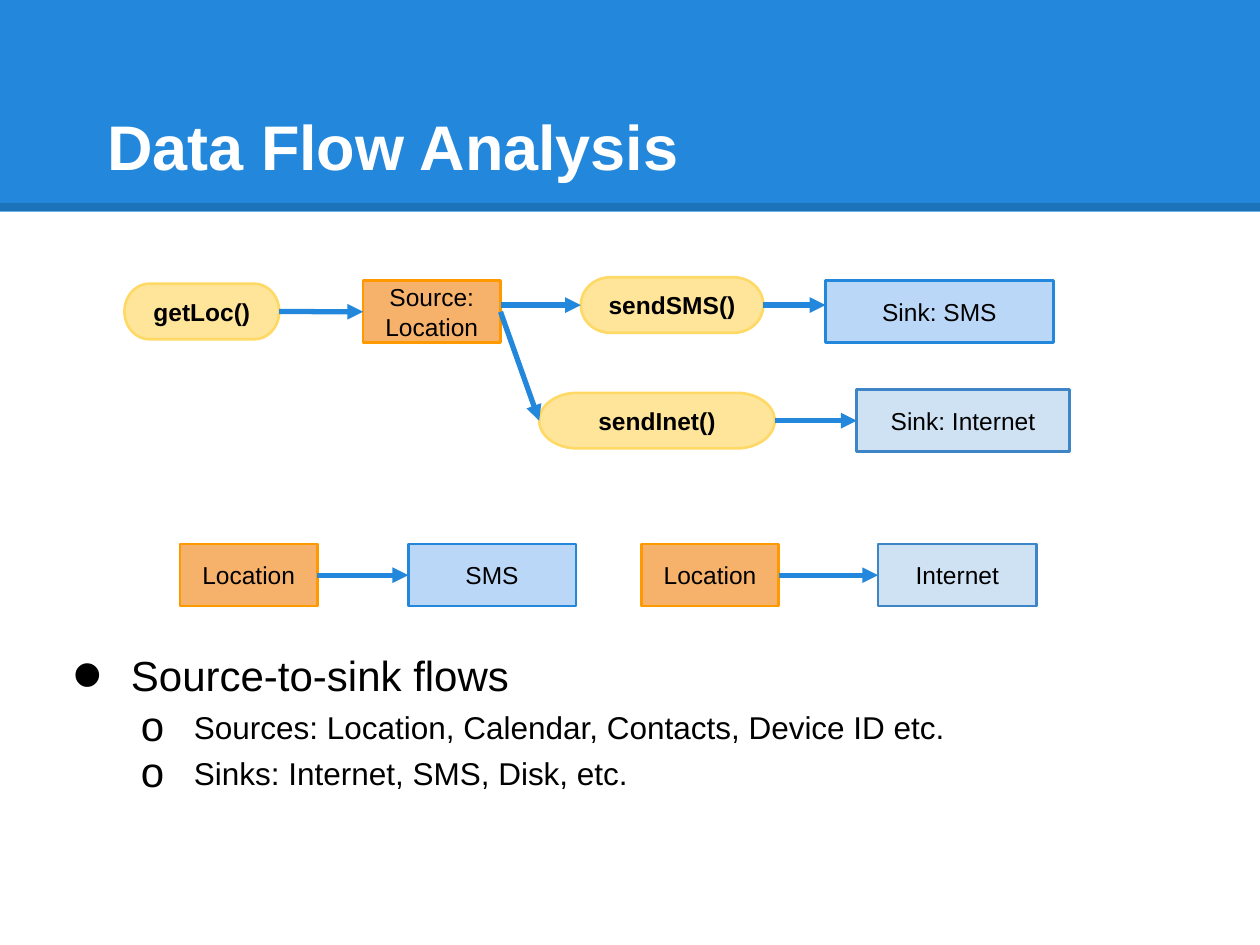
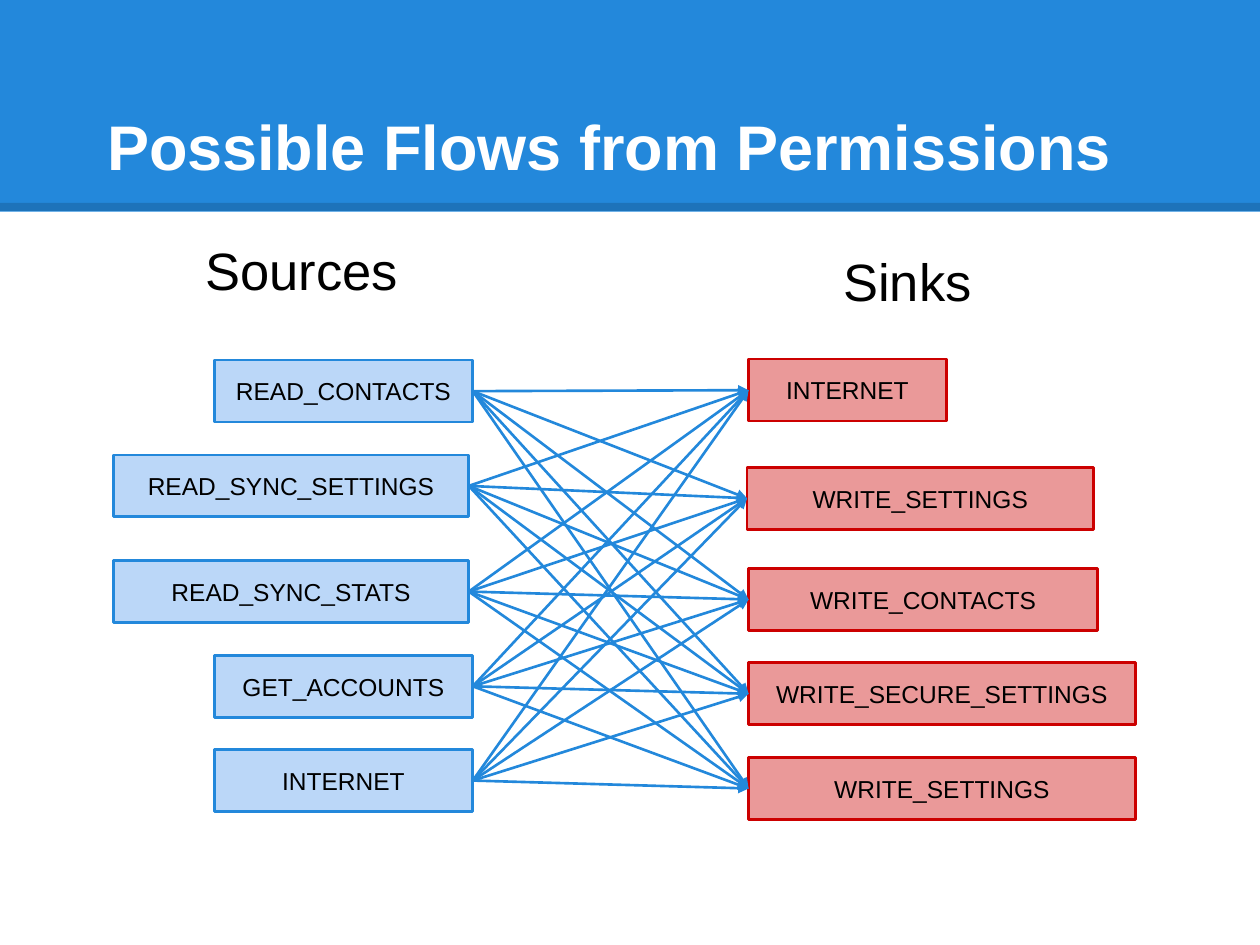
from itertools import product

from lxml.etree import SubElement
from pptx import Presentation
from pptx.dml.color import RGBColor
from pptx.enum.shapes import MSO_CONNECTOR as Link, MSO_SHAPE as Shape
from pptx.enum.text import MSO_ANCHOR as Anchor, PP_ALIGN as Align
from pptx.oxml.ns import qn
from pptx.util import Cm, Pt

FONT = "Arial"
BLACK = RGBColor(0x00, 0x00, 0x00)
WHITE = RGBColor(0xFF, 0xFF, 0xFF)
BLUE = RGBColor(0x23, 0x88, 0xDB)
SKY = RGBColor(0xBB, 0xD7, 0xF8)
PALE = RGBColor(0xCF, 0xE2, 0xF3)
STEEL = RGBColor(0x3D, 0x85, 0xC6)
CREAM = RGBColor(0xFF, 0xE5, 0x99)
GOLD = RGBColor(0xFF, 0xD9, 0x66)
PEACH = RGBColor(0xF6, 0xB2, 0x6B)
ORANGE = RGBColor(0xFF, 0x99, 0x00)
ROSE = RGBColor(0xEA, 0x99, 0x99)
RED = RGBColor(0xCC, 0x00, 0x00)

# Box styles: preset, fill, outline, bold
STYLES = {
    "call": (Shape.FLOWCHART_TERMINATOR, CREAM, GOLD, True),
    "source": (Shape.RECTANGLE, PEACH, ORANGE, False),
    "sms": (Shape.RECTANGLE, SKY, BLUE, False),
    "net": (Shape.RECTANGLE, PALE, STEEL, False),
    "read": (Shape.RECTANGLE, SKY, BLUE, False),
    "write": (Shape.RECTANGLE, ROSE, RED, False),
}
HIGH = 1.25

# Data flow: name -> style, text, left, top, width, height in cm
STEPS = {
    "get": ("call", "getLoc()", 2.51, 5.72, 3.12, 1.12),
    "loc": ("source", "Source: Location", 7.32, 5.66, 2.77, HIGH),
    "send sms": ("call", "sendSMS()", 11.71, 5.59, 3.68, 1.12),
    "send net": ("call", "sendInet()", 10.87, 7.92, 4.75, 1.12),
    "sink sms": ("sms", "Sink: SMS", 16.64, 5.66, 4.6, HIGH),
    "sink net": ("net", "Sink: Internet", 17.27, 7.85, 4.29, HIGH),
    "from 1": ("source", "Location", 3.63, 10.97, 2.77, HIGH),
    "to 1": ("sms", "SMS", 8.23, 10.97, 3.38, HIGH),
    "from 2": ("source", "Location", 12.93, 10.97, 2.77, HIGH),
    "to 2": ("net", "Internet", 17.7, 10.97, 3.2, HIGH),
}
# From, to, and the step whose middle keeps the arrow level
FLOWS = [
    ("get", "loc", None),
    ("loc", "send sms", "send sms"),
    ("loc", "send net", None),
    ("send sms", "sink sms", "send sms"),
    ("send net", "sink net", "send net"),
    ("from 1", "to 1", None),
    ("from 2", "to 2", None),
]
# Level, text
POINTS = [
    (0, "Source-to-sink flows"),
    (1, "Sources: Location, Calendar, Contacts, Device ID etc."),
    (1, "Sinks: Internet, SMS, Disk, etc."),
]
# Per level: mark, mark size %, text size, space before, margin, indent
LEVELS = [("•", 208, 24, 6, 1.27, -1.17), ("o", 133, 18, 4.8, 2.54, -1.07)]

# Permissions: text, left, top, width in cm
READS = [
    ("READ_CONTACTS", 4.32, 7.26, 5.21),
    ("READ_SYNC_SETTINGS", 2.29, 9.17, 7.16),
    ("READ_SYNC_STATS", 2.29, 11.3, 7.16),
    ("GET_ACCOUNTS", 4.32, 13.21, 5.21),
    ("INTERNET", 4.32, 15.11, 5.21),
]
WRITES = [
    ("INTERNET", 15.09, 7.24, 3.99),
    ("WRITE_SETTINGS", 15.06, 9.42, 6.99),
    ("WRITE_CONTACTS", 15.09, 11.46, 7.04),
    ("WRITE_SECURE_SETTINGS", 15.09, 13.36, 7.8),
    ("WRITE_SETTINGS", 15.09, 15.27, 7.8),
]
HEADS = [("Sources", 1.14, 4.55, 9.88, 2.69), ("Sinks", 12.34, 4.78, 11.91, 2.03)]


def set_font(para, size, color=BLACK, bold=False):
    font = para.font
    font.name, font.size, font.bold = FONT, Pt(size), bold
    font.color.rgb = color


def set_frame(shape, anchor):
    frame = shape.text_frame
    frame.word_wrap = True
    frame.vertical_anchor = anchor
    frame.margin_left = frame.margin_right = Cm(0.25)
    frame.margin_top = frame.margin_bottom = Cm(0.25)
    return frame


def add_text(slide, area, text="", size=30, color=BLACK, bold=False,
             anchor=Anchor.TOP, align=Align.CENTER):
    frame = set_frame(slide.shapes.add_textbox(*map(Cm, area)), anchor)
    para = frame.paragraphs[0]
    para.text, para.alignment = text, align
    set_font(para, size, color, bold)
    return para


def add_box(slide, style, text, *area):
    form, fill, edge, bold = STYLES[style]
    box = slide.shapes.add_shape(form, *map(Cm, area))
    box.shadow.inherit = False
    box.fill.solid()
    box.fill.fore_color.rgb = fill
    box.line.color.rgb = edge
    box.line.width = Pt(1.5)
    para = set_frame(box, Anchor.MIDDLE).paragraphs[0]
    para.text, para.alignment = text, Align.CENTER
    set_font(para, 14, bold=bold)
    return box


def add_line(slide, ends, color, width):
    line = slide.shapes.add_connector(Link.STRAIGHT, *ends)
    line.line.color.rgb = color
    line.line.width = Pt(width)
    SubElement(line._element.spPr, qn("a:effectLst"))
    return line


def add_arrow(slide, start, end, width, level=None):
    """Join the right side of start to the left side of end."""
    mids = [box.top + box.height // 2 for box in (level or start, level or end)]
    ends = start.left + start.width, mids[0], end.left, mids[1]
    arrow = add_line(slide, ends, BLUE, width)
    if level is None:
        arrow.begin_connect(start, 3)
        arrow.end_connect(end, 1)
    SubElement(arrow._element.spPr.find(qn("a:ln")), qn("a:tailEnd"), type="triangle")


def add_slide(deck, title):
    slide = deck.slides.add_slide(deck.slide_layouts[6])
    # Band with a darker lower edge
    band = slide.shapes.add_shape(Shape.RECTANGLE, 0, 0, deck.slide_width, Cm(4.27))
    band.shadow.inherit = False
    band.fill.solid()
    band.fill.fore_color.rgb = BLUE
    band.line.fill.background()
    edge = add_line(slide, (0, Cm(4.17), deck.slide_width, Cm(4.17)), BLACK, 4.5)
    tint = next(edge._element.spPr.iter(qn("a:srgbClr")))
    SubElement(tint, qn("a:alpha"), val="15000")
    # Title
    para = add_text(slide, (1.27, 0.76, 22.86, 3.18), title, 36, WHITE, True,
                    Anchor.BOTTOM, Align.LEFT)
    para._p.get_or_add_pPr().set("indent", str(Cm(0.64)))
    return slide


def add_points(slide, area):
    box = slide.shapes.add_textbox(*map(Cm, area))
    frame = set_frame(box, Anchor.MIDDLE)
    for num, (level, text) in enumerate(POINTS):
        mark, scale, size, gap, margin, indent = LEVELS[level]
        para = frame.add_paragraph() if num else frame.paragraphs[0]
        para.text, para.level = text, level
        if num:
            para.space_before = Pt(gap)
        props = para._p.get_or_add_pPr()
        props.set("marL", str(Cm(margin)))
        props.set("indent", str(Cm(indent)))
        SubElement(SubElement(props, qn("a:buClr")), qn("a:srgbClr"), val=str(BLACK))
        SubElement(props, qn("a:buSzPct"), val=str(scale * 1000))
        SubElement(props, qn("a:buFont"), typeface=FONT)
        SubElement(props, qn("a:buChar"), char=mark)
        set_font(para, size)


def main():
    deck = Presentation()
    deck.slide_width, deck.slide_height = Cm(25.4), Cm(19.05)

    # Data flow
    slide = add_slide(deck, "Data Flow Analysis")
    boxes = {name: add_box(slide, *step) for name, step in STEPS.items()}
    for start, end, level in FLOWS:
        add_arrow(slide, boxes[start], boxes[end], 3, boxes.get(level))
    add_points(slide, (1.12, 12.93, 21.69, 3.2))

    # Every source may reach every sink
    slide = add_slide(deck, "Possible Flows from Permissions")
    for text, *area in HEADS:
        add_text(slide, area, text)
    reads = [add_box(slide, "read", *item, HIGH) for item in READS]
    writes = [add_box(slide, "write", *item, HIGH) for item in WRITES]
    for start, end in product(reads, writes):
        add_arrow(slide, start, end, 1.5)

    deck.save("out.pptx")


if __name__ == "__main__":
    main()
